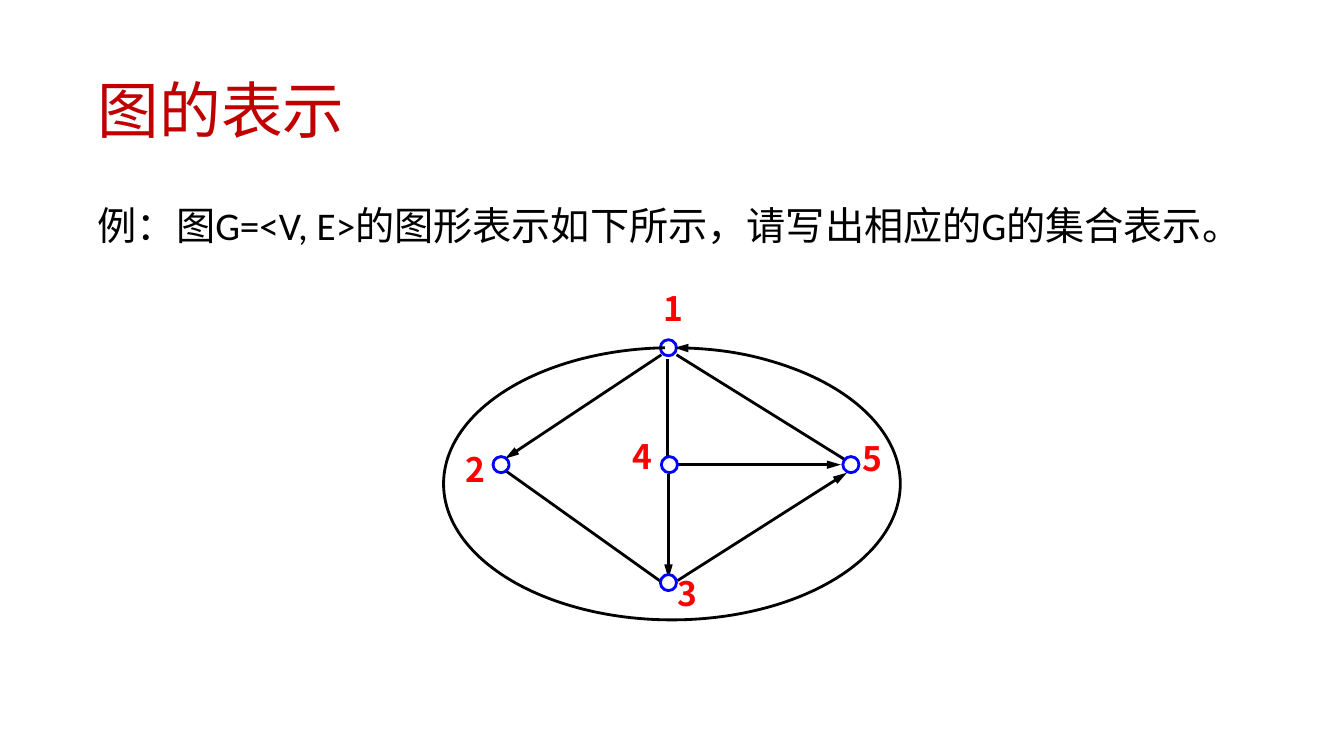
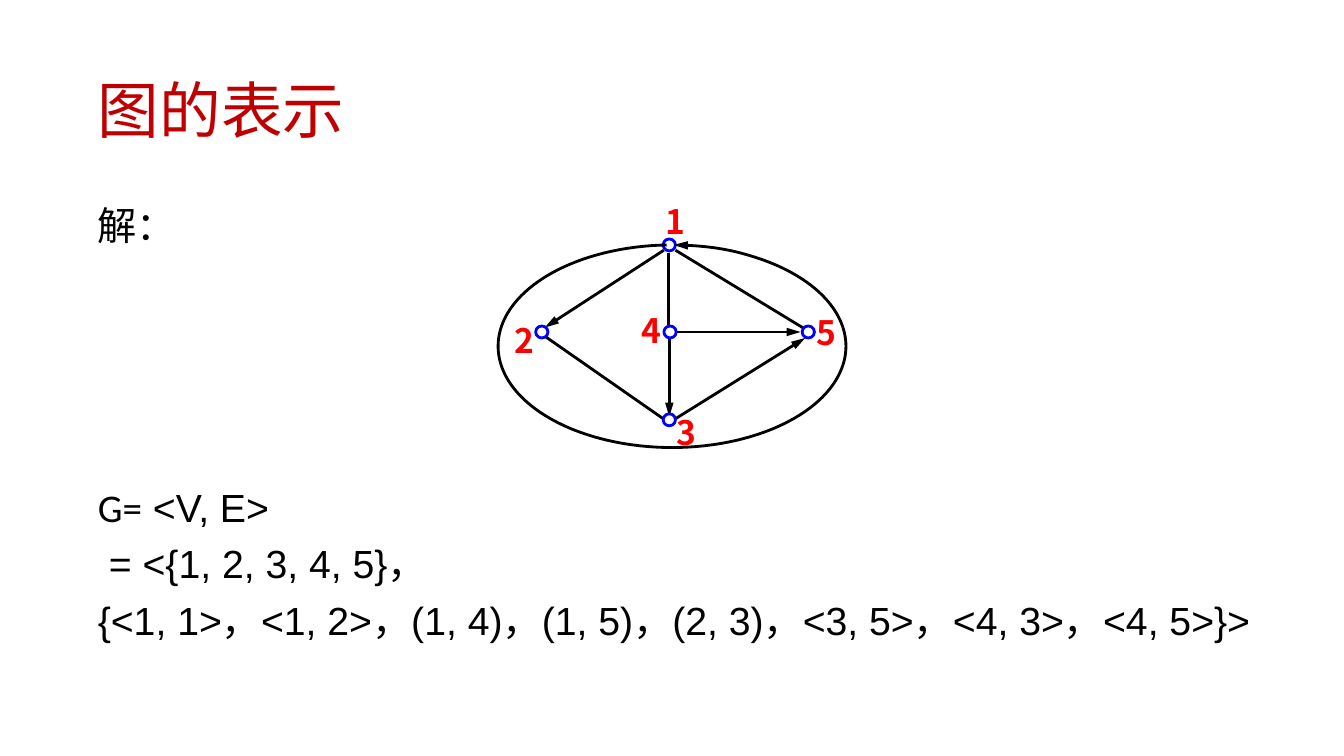
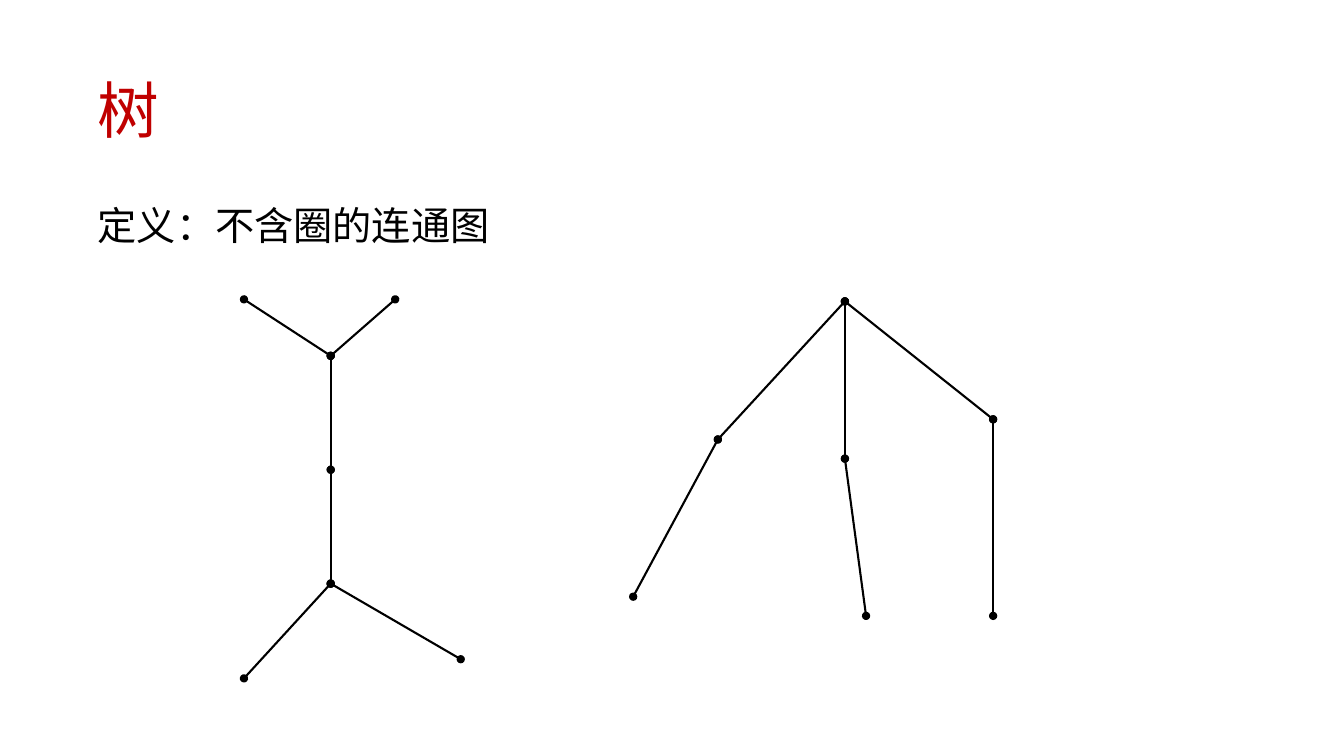
from lxml import etree
from pptx import Presentation
from pptx.dml.color import RGBColor
from pptx.enum.shapes import MSO_CONNECTOR, MSO_SHAPE
from pptx.enum.text import MSO_ANCHOR, MSO_AUTO_SIZE, PP_ALIGN
from pptx.oxml.ns import qn
from pptx.util import Inches, Pt

BLACK = RGBColor(0x00, 0x00, 0x00)
WHITE = RGBColor(0xFF, 0xFF, 0xFF)
BLUE = RGBColor(0x00, 0x00, 0xFF)
RED = RGBColor(0xFF, 0x00, 0x00)
DARK_RED = RGBColor(0xC0, 0x00, 0x00)
CJK_FONT = "Noto Sans CJK SC"


def style_run(run, **values):
    """Format a run, with one typeface for its Chinese characters."""
    run.font.color.rgb = values.pop("color")
    for name, value in values.items():
        setattr(run.font, name, value)
    etree.SubElement(run.font._element, qn("a:ea"), typeface=CJK_FONT)


def add_edge(shapes, start, end, width, ends):
    """Draw a straight edge; ends maps headEnd and tailEnd to a type."""
    edge = shapes.add_connector(MSO_CONNECTOR.STRAIGHT,
                                *map(Inches, (*start, *end)))
    edge.line.color.rgb = BLACK
    edge.line.width = Pt(width)
    for end_name, (kind, length) in ends.items():
        etree.SubElement(edge.line._ln, qn(f"a:{end_name}"),
                         type=kind, w="med", len=length)
    etree.SubElement(edge._element.spPr, qn("a:effectLst"))


# Shared frame: title and body places on the layout
deck = Presentation()
deck.slide_width, deck.slide_height = Inches(13.33), Inches(7.5)
layout = deck.slide_layouts[1]
frames = {0: (0.92, 0.4, 11.5, 1.45), 1: (0.92, 2, 11.5, 5.5)}
for index, frame in frames.items():
    holder = layout.placeholders[index]
    holder.left, holder.top, holder.width, holder.height = map(Inches, frame)

# Wording: each body line is (space before, indent, [(text, font)])
SOLUTION_GAP = 171
contents = [
    ("图的表示", 11.5, [
        (0, 0, [("例：图G=<V, E>的图形表示如下所示，请写出相应的G的集合表示。", "Calibri")])]),
    ("图的表示", 12.42, [
        (0, 0, [("解：", "Calibri")]),
        (SOLUTION_GAP, 0, [("G=", "Calibri"), (" <V, E>", "Arial")]),
        (10, 0.11, [("= <{1, 2, 3, 4, 5}，", "Arial")]),
        (10, 0, [("{<1, 1>，<1, 2>，(1, 4)，(1, 5)，(2, 3)，<3, 5>，<4, 3>，<4, 5>}>",
                  "Arial")])]),
    ("树", 11.5, [(0, 0, [("定义：不含圈的连通图", "Calibri")])]),
]

slides = []
for heading, body_width, lines in contents:
    slide = deck.slides.add_slide(layout)
    slides.append(slide)
    title, body = slide.placeholders[0], slide.placeholders[1]
    body.left, body.top, body.width, body.height = map(
        Inches, (0.92, 2, body_width, 5.5))
    for holder, anchor in ((title, MSO_ANCHOR.MIDDLE), (body, MSO_ANCHOR.TOP)):
        text = holder.text_frame
        text.word_wrap, text.auto_size = True, MSO_AUTO_SIZE.NONE
        text.vertical_anchor = anchor
        for side in ("left", "right", "top", "bottom"):
            setattr(text, f"margin_{side}", Inches(0.05))

    heading_line = title.text_frame.paragraphs[0]
    heading_line.alignment, heading_line.line_spacing = PP_ALIGN.LEFT, 0.9
    run = heading_line.add_run()
    run.text = heading
    style_run(run, name="Calibri", size=Pt(44), color=DARK_RED)

    for number, (gap, indent, parts) in enumerate(lines):
        text = body.text_frame
        line = text.add_paragraph() if number else text.paragraphs[0]
        properties = line._p.get_or_add_pPr()
        properties.set("marL", str(Inches(indent)))
        properties.set("indent", "0")
        etree.SubElement(properties, qn("a:buNone"))
        line.line_spacing, line.space_before = 0.9, Pt(gap)
        for wording, font_name in parts:
            run = line.add_run()
            run.text = wording
            style_run(run, name=font_name, size=Pt(28), color=BLACK)

# Directed graph, drawn at two sizes: loop frame, node and label corners
LOOP = (4.4, 3.45, 4.53, 2.7)
NODE_SIZE, LABEL_SIZE = (0.16, 0.16), (0.21, 0.54)
nodes = {
    "1": ((6.55, 3.37), (6.58, 2.86)),
    "2": ((4.89, 4.53), (4.62, 4.45)),
    "3": ((6.55, 5.7), (6.72, 5.68)),
    "4": ((6.56, 4.53), (6.27, 4.32)),
    "5": ((8.36, 4.53), (8.55, 4.34)),
}
ARROW = ("triangle", "lg")
graph_edges = [
    ((6.71, 3.52), (8.38, 4.56), False),  # 1 - 5
    ((6.62, 3.56), (6.62, 4.6), False),   # 1 - 4
    ((5, 4.66), (6.57, 5.78), False),     # 2 - 3
    ((6.56, 3.52), (5.01, 4.55), True),   # 1 > 2
    ((6.63, 4.7), (6.63, 5.74), True),    # 4 > 3
    ((6.72, 5.76), (8.4, 4.69), True),    # 3 > 5
    ((6.71, 4.61), (8.34, 4.61), True),   # 4 > 5
]
for slide, target in zip(slides, (LOOP, (4.94, 2.43, 3.45, 2.01))):
    graph = slide.shapes.add_group_shape().shapes
    scale = [target[axis + 2] / LOOP[axis + 2] for axis in (0, 1)]

    # Corner and size in graph units become a place on the slide
    places = {}
    for label, (node_at, label_at) in nodes.items():
        for part, at, size in (("node", node_at, NODE_SIZE),
                               ("label", label_at, LABEL_SIZE)):
            corner = [target[axis] + (at[axis] - LOOP[axis]) * scale[axis]
                      for axis in (0, 1)]
            extent = [size[axis] * scale[axis] for axis in (0, 1)]
            places[label, part] = [Inches(v) for v in corner + extent]

    for start, end, directed in graph_edges:
        points = [[target[axis] + (point[axis] - LOOP[axis]) * scale[axis]
                   for axis in (0, 1)] for point in (start, end)]
        add_edge(graph, *points, 2, {"tailEnd": ARROW} if directed else {})

    for label in nodes:
        node = graph.add_shape(MSO_SHAPE.OVAL, *places[label, "node"])
        node.shadow.inherit = False
        node.fill.solid()
        node.fill.fore_color.rgb = WHITE
        node.line.color.rgb, node.line.width = BLUE, Pt(2)

        text = graph.add_textbox(*places[label, "label"]).text_frame
        text.word_wrap = True
        for side in ("left", "right", "top", "bottom"):
            setattr(text, f"margin_{side}", 0)
        run = text.paragraphs[0].add_run()
        run.text = label
        style_run(run, name=CJK_FONT, size=Pt(24), bold=True, color=RED)

    # Loop from node 1 back to itself; angles in units of 1/0.6 degree
    loop = graph.add_shape(MSO_SHAPE.ARC, *map(Inches, target))
    loop.adjustments[0], loop.adjustments[1] = 271 * 0.6, 267 * 0.6
    loop.shadow.inherit = False
    loop.fill.background()
    loop.line.color.rgb, loop.line.width = BLACK, Pt(2)
    etree.SubElement(loop.line._ln, qn("a:headEnd"),
                     type=ARROW[0], w="med", len=ARROW[1])

# Two trees: a chain with forked ends, and a root with three branches
fork, middle, base = (3.28, 3.53), (3.28, 4.66), (3.28, 5.79)
root, left, centre, right = (8.38, 2.99), (7.12, 4.36), (8.38, 4.55), (9.85, 4.16)
trees = [
    [((2.42, 2.97), fork), ((3.92, 2.97), fork), (fork, middle),
     (middle, base), (base, (2.42, 6.73)), (base, (4.57, 6.54))],
    [(root, left), (root, centre), (root, right), (left, (6.28, 5.92)),
     (centre, (8.59, 6.11)), (right, (9.85, 6.11))],
]
DOT = ("oval", "med")
for branches in trees:
    tree = slides[2].shapes.add_group_shape().shapes
    for start, end in branches:
        add_edge(tree, start, end, 1.5, {"headEnd": DOT, "tailEnd": DOT})

deck.save("out.pptx")
